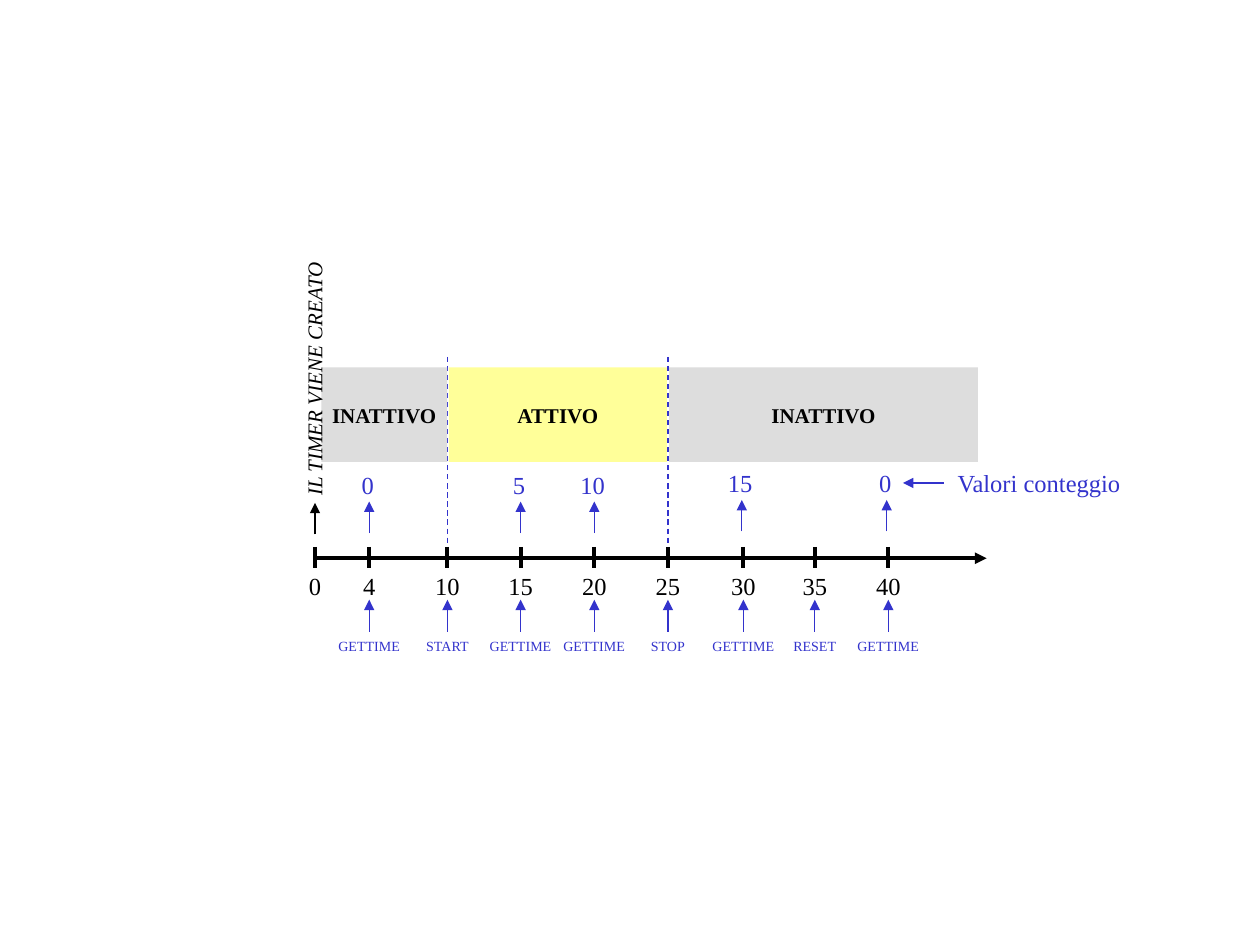
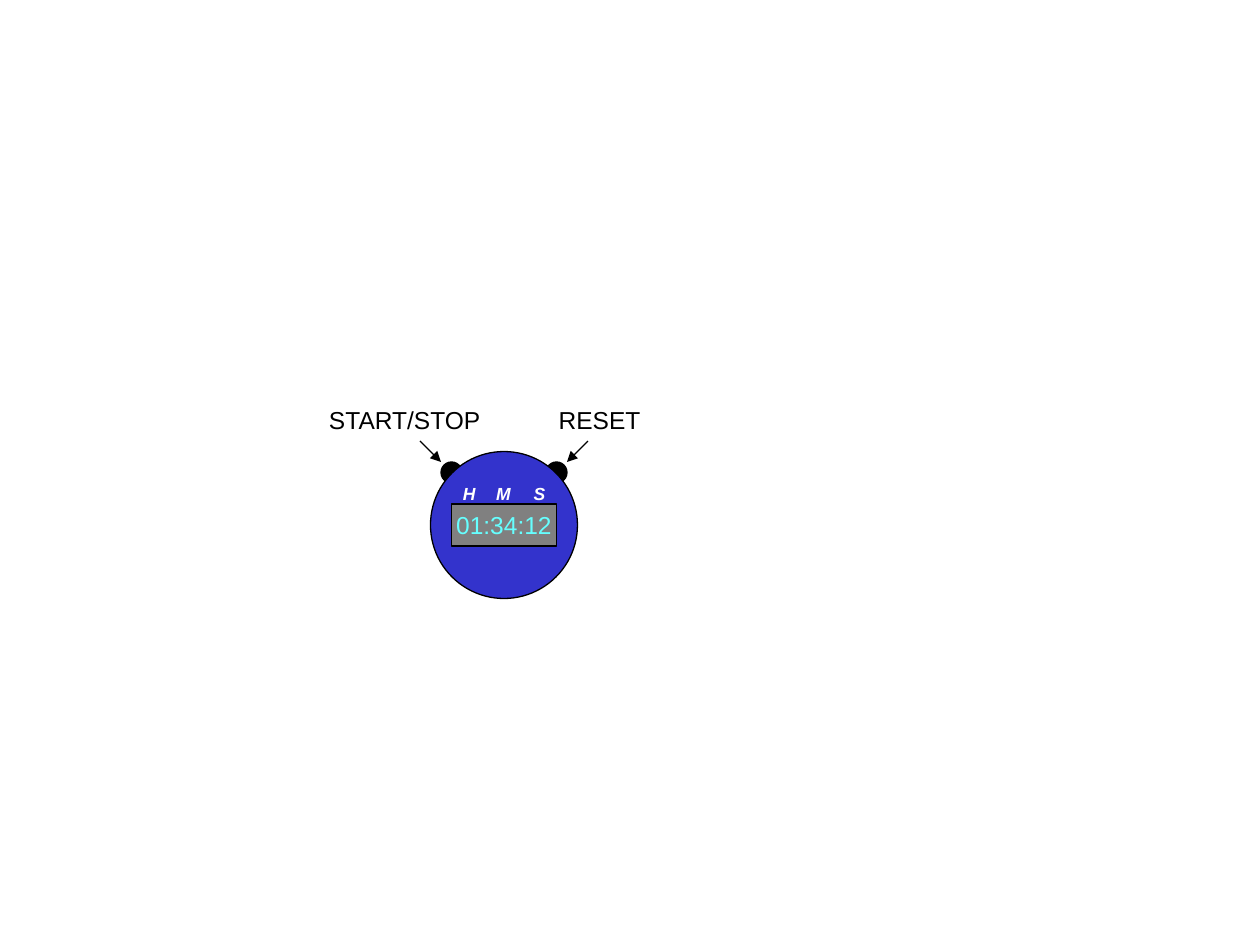
"""Build two slides: the timeline of a timer and its stopwatch."""
from lxml import etree
from pptx import Presentation
from pptx.dml.color import RGBColor
from pptx.enum.dml import MSO_LINE
from pptx.enum.shapes import MSO_CONNECTOR, MSO_SHAPE
from pptx.enum.text import MSO_ANCHOR, MSO_AUTO_SIZE, PP_ALIGN
from pptx.oxml.ns import qn
from pptx.util import Pt

STRAIGHT = MSO_CONNECTOR.STRAIGHT
RECT, OVAL = MSO_SHAPE.RECTANGLE, MSO_SHAPE.OVAL
TOP, MIDDLE = MSO_ANCHOR.TOP, MSO_ANCHOR.MIDDLE
LEFT, CENTER = PP_ALIGN.LEFT, PP_ALIGN.CENTER
FIT = MSO_AUTO_SIZE.SHAPE_TO_FIT_TEXT
DASH = MSO_LINE.DASH

INK = {"black": "000000", "blue": "3333CC", "grey": "DDDDDD", "yellow": "FFFF99",
       "steel": "808080", "cyan": "66FFFF", "white": "FFFFFF"}
SERIF, SANS = "Times New Roman", "Arial"

EVENTS = [(0, 0, None, None), (4, 31, "GETTIME", 0), (10, 75.7, "START", None),
          (15, 117.5, "GETTIME", 5), (20, 159.6, "GETTIME", 10),
          (25, 201.7, "STOP", None), (30, 244.8, "GETTIME", 15),
          (35, 285.6, "RESET", None), (40, 327.6, "GETTIME", 0)]
STATES = [(3.6, 72, "INATTIVO", "grey"), (76.5, 124.6, "ATTIVO", "yellow"),
          (202.4, 176.4, "INATTIVO", "grey")]
STOPPED = 25


def tint(name):
    """Return the named colour."""
    return RGBColor.from_string(INK[name])


def write(shape, words, size, color, font, align=CENTER, anchor=TOP, bold=False, slant=False):
    """Put one run of text in a shape."""
    frame = shape.text_frame
    frame.word_wrap = False
    frame.vertical_anchor = anchor
    para = frame.paragraphs[0]
    para.alignment = align
    run = para.add_run()
    run.text = words
    face = run.font
    face.name, face.size, face.bold, face.italic = font, Pt(size), bold, slant
    face.color.rgb = tint(color)


def label(slide, x, y, w, h, words, size, color, font, **style):
    """Add a text box that fits its text."""
    box = slide.shapes.add_textbox(Pt(x), Pt(y), Pt(w), Pt(h))
    write(box, words, size, color, font, **style)
    box.text_frame.auto_size = FIT
    return box


def digits(slide, mid, y, value, color):
    """Add a number centred on a point of the axis."""
    label(slide, mid - 16, y, 32, 24.5, str(value), 14, color, SERIF)


def block(slide, kind, x, y, w, h, fill, edge=None):
    """Add a filled shape with an optional edge."""
    shape = slide.shapes.add_shape(kind, Pt(x), Pt(y), Pt(w), Pt(h))
    shape.shadow.inherit = False
    shape.fill.solid()
    shape.fill.fore_color.rgb = tint(fill)
    if edge:
        shape.line.color.rgb = tint(edge)
        shape.line.width = Pt(0.75)
    else:
        shape.line.fill.background()
    return shape


def stroke(slide, x1, y1, x2, y2, color, width=0.75, head=False, dash=None):
    """Add a straight line, with an arrowhead if asked."""
    line = slide.shapes.add_connector(STRAIGHT, Pt(x1), Pt(y1), Pt(x2), Pt(y2))
    line.line.color.rgb = tint(color)
    line.line.width = Pt(width)
    if dash:
        line.line.dash_style = dash
    if head:
        etree.SubElement(line.line._get_or_add_ln(), qn("a:tailEnd"), type="triangle")
    etree.SubElement(line._element.spPr, qn("a:effectLst"))
    return line


def event(slide, x, y, time, call, count):
    """Draw one tick of the axis with its call and count."""
    stroke(slide, x, y + 108.5, x, y + 120.7, "black", 2.25)
    digits(slide, x, y + 118.6, time, "black")
    if call:
        tag = label(slide, x - 25.2, y + 157, 50.4, 17.3, call, 8, "blue", SERIF)
        arrow = stroke(slide, x, y + 157, x, y + 138.7, "blue", head=True)
        arrow.begin_connect(tag, 0)
    if count is not None:
        nudge = 0.9 if time > STOPPED else 0
        x, y = x - nudge, y - nudge
        stroke(slide, x, y + 100.6, x, y + 82.6, "blue", head=True)
        digits(slide, x - 0.9, y + 61, count, "blue")


def timeline(slide, x, y):
    """Draw the states, the time axis and its events."""
    for time, dx, call, count in EVENTS:
        if call in ("START", "STOP"):
            stroke(slide, x + dx, y, x + dx, y + 108, "blue", dash=DASH)
    for dx, w, words, fill in STATES:
        state = block(slide, RECT, x + dx, y + 6, w, 54, fill)
        write(state, words, 12, "black", SERIF, anchor=MIDDLE, bold=True)
    birth = label(slide, x - 74.7, y + 1.4, 148.3, 21.6, "IL TIMER VIENE CREATO",
                  12, "black", SERIF, align=LEFT, slant=True)
    birth.rotation = 270
    stroke(slide, x, y + 101.3, x, y + 83.3, "black", head=True)
    stroke(slide, x, y + 115, x + 383.8, y + 115, "black", 2.25, head=True)
    for time, dx, call, count in EVENTS:
        event(slide, x + dx, y, time, call, count)
    note = label(slide, x + 359.4, y + 59.8, 108.7, 24.4, "Valori conteggio", 14, "blue", SERIF)
    arrow = stroke(slide, x + 359.4, y + 72, x + 336, y + 72, "blue", head=True)
    arrow.begin_connect(note, 1)


def stopwatch(slide, x, y, size):
    """Draw the dial with its buttons, labels and screen."""
    mid = x + size / 2
    for side in (-1, 1):
        block(slide, OVAL, mid + side * 30 - 6, y + 6, 12, 12, "black", "black")
        stroke(slide, mid + side * 48, y - 6, mid + side * 36, y + 6, "black", head=True)
    block(slide, OVAL, x, y, size, size, "blue", "black")
    for dx, w, words in [(-65.8, 102.2, "START/STOP"), (66, 61.2, "RESET")]:
        label(slide, x + dx, y - 30, w, 24.5, words, 14, "black", SANS)
    screen = block(slide, RECT, mid - 30, y + 30, 60, 24, "steel", "black")
    write(screen, "01:34:12", 14, "cyan", SANS, anchor=MIDDLE)
    for dx, unit in [(22.2, "H"), (41.4, "M"), (62.3, "S")]:
        label(slide, x + dx - 11, y + 14.2, 22, 19.4, unit, 10, "white", SANS,
              anchor=MIDDLE, bold=True, slant=True)


def main():
    """Build and save the deck."""
    deck = Presentation()
    deck.slide_width, deck.slide_height = Pt(720), Pt(540)
    blank = deck.slide_layouts[6]
    timeline(deck.slides.add_slide(blank), 180, 204)
    stopwatch(deck.slides.add_slide(blank), 246, 258, 84)
    deck.save("out.pptx")


if __name__ == "__main__":
    main()
